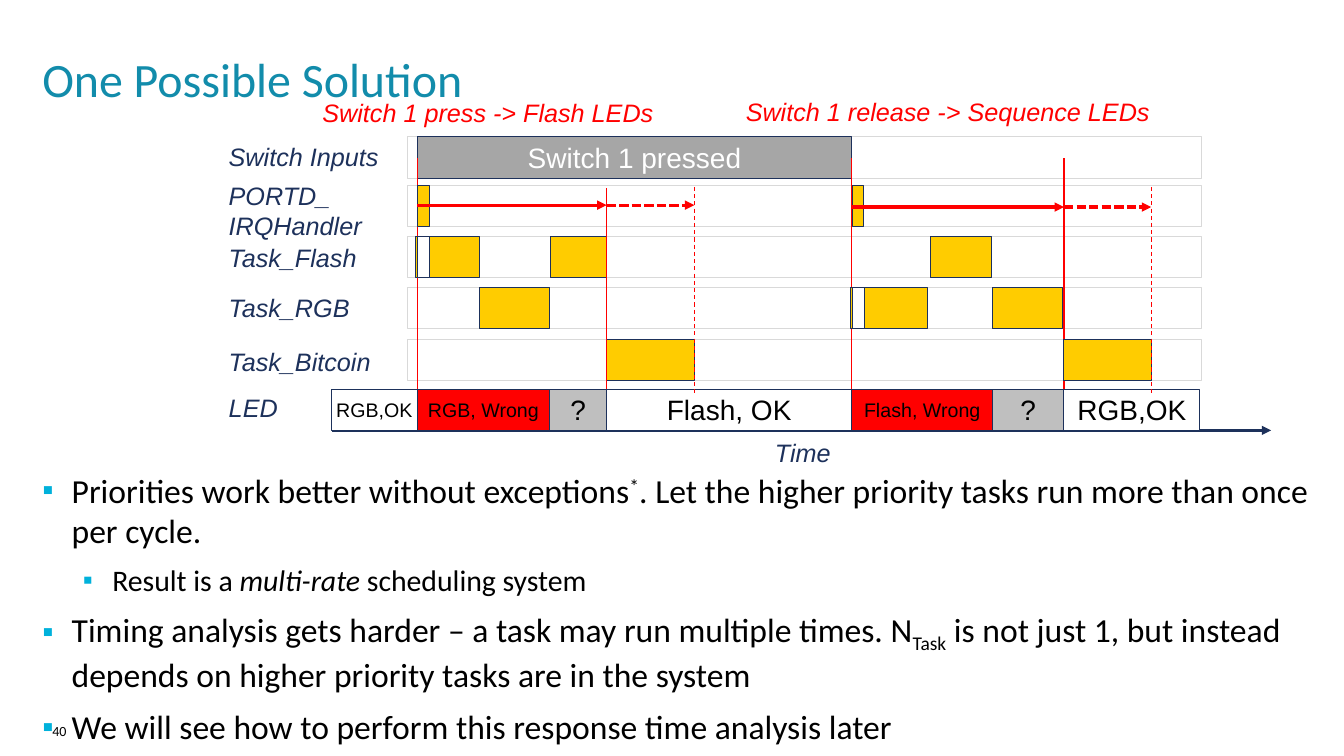
from dataclasses import dataclass

from lxml.etree import SubElement as Sub
from pptx import Presentation
from pptx.dml.color import RGBColor as RGB
from pptx.enum.dml import MSO_LINE as Dash
from pptx.enum.shapes import MSO_CONNECTOR as Conn, MSO_SHAPE as Form
from pptx.enum.text import MSO_ANCHOR as Anchor, MSO_AUTO_SIZE as Fit, PP_ALIGN as Align
from pptx.oxml.ns import qn
from pptx.util import Pt


@dataclass(frozen=True)
class Theme:
    navy: str = "1D315B"
    red: str = "FF0000"
    gold: str = "FFCC00"
    white: str = "FFFFFF"
    black: str = "000000"
    teal: str = "128CAB"
    cyan: str = "00B1DB"
    pale: str = "D9D9D9"
    grey: str = "BFBFBF"
    dark: str = "A6A6A6"
    sans: str = "Arial"
    main: str = "Calibri"
    head: float = 34.2
    body: float = 24
    sub: float = 21.3
    big: float = 20
    label: float = 18
    small: float = 14
    page: float = 10
    thin: float = 0.75
    bold: float = 2.25


T = Theme()

TITLE = "One Possible Solution"
# Each bullet: level, then runs of (text, format)
BULLETS = [
    (0, [("Priorities work better without exceptions", {}), ("*", {"base": 30}),
         (". Let the higher priority tasks run more than once per cycle.", {})]),
    (1, [("Result is a ", {}), ("multi-rate ", {"italic": True}),
         ("scheduling system", {})]),
    (0, [("Timing analysis gets harder – a task may run multiple times. N", {}),
         ("Task", {"base": -25}),
         (" is not just 1, but instead depends on higher priority tasks are in the system", {})]),
    (0, [("We will see how to perform this response time analysis later", {})]),
]

# Row tops and bar height
ROWS = {"switch": 97.7, "irq": 132.5, "flash": 169, "rgb": 205.2, "coin": 242.6, "led": 277.9}
TALL = 29.5
# Moments on the time axis
START, PRESS, FREE, END = 237, 298, 608.5, 857
SHOWN, RESET = 433.3, 760
LATE, LAST = 496, 822.3
LANE = (291, 858.3)

# Labels: text, left, top, width, height, colour
LABELS = [
    ("Switch Inputs", 156.3, 97.2, 122.4, 28.8, T.navy),
    ("PORTD_ IRQHandler", 156.3, 125.3, 115.2, 51.1, T.navy),
    ("Task_Flash", 156.3, 169.2, 106.6, 28.8, T.navy),
    ("Task_RGB", 156.3, 205.2, 101.5, 28.8, T.navy),
    ("Task_Bitcoin", 156.3, 244.1, 118.8, 28.8, T.navy),
    ("LED", 156.3, 276.5, 49.7, 28.8, T.navy),
    ("Time", 546.5, 311.8, 59.8, 4.3, T.navy),
    ("Switch 1 press -> Flash LEDs", 223.2, 66, 253.4, 28.8, T.red),
    ("Switch 1 release -> Sequence LEDs", 525.6, 65.6, 306, 28.8, T.red),
]
# Bars: row, from, to, fill
BARS = [
    ("irq", PRESS, 306.7, T.gold), ("irq", 609, 617, T.gold),
    ("flash", 296.7, 342.5, T.gold), ("flash", PRESS, 306.7, T.white),
    ("rgb", 342.2, 392.6, T.gold), ("flash", 393, SHOWN, T.gold),
    ("coin", SHOWN, LATE, T.gold),
    ("rgb", 607.7, 662.4, T.gold), ("rgb", 609, 617.5, T.white),
    ("flash", 664.5, 708, T.gold), ("rgb", 708.7, 759, T.gold),
    ("coin", RESET, LAST, T.gold),
]
# LED states: text, start, fill, type size
STATES = [
    ("RGB,OK", START, T.white, T.small), ("RGB, Wrong", PRESS, T.red, T.small),
    ("?", 392.6, T.grey, T.big), ("Flash, OK", SHOWN, T.white, T.big),
    ("Flash, Wrong", FREE, T.red, T.small), ("?", 709, T.grey, T.big),
    ("RGB,OK", RESET, T.white, T.big),
]

deck = Presentation()
deck.slide_width, deck.slide_height = Pt(960), Pt(540)
slide = deck.slides.add_slide(deck.slide_layouts[1])
shapes = slide.shapes


def write(para, text, size=T.label, color=T.navy, face=T.sans, italic=False, base=0):
    """Add one run; base is the raise or drop in percent."""
    run = para.add_run()
    run.text = text
    font = run.font
    font.size, font.name, font.italic = Pt(size), face, italic
    font.color.rgb = RGB.from_string(color)
    if base:
        font._element.set("baseline", str(base * 1000))


def place(item, left, top, width, height):
    item.left, item.top, item.width, item.height = map(Pt, (left, top, width, height))
    frame = item.text_frame
    frame.margin_left = frame.margin_right = frame.margin_top = frame.margin_bottom = 0
    frame.vertical_anchor, frame.auto_size = Anchor.TOP, Fit.NONE
    frame.word_wrap = True
    return frame


def label(text, left, top, width, height, color):
    frame = shapes.add_textbox(*map(Pt, (left, top, width, height))).text_frame
    frame.word_wrap = text.startswith("PORTD")
    write(frame.paragraphs[0], text, color=color, italic=True)


def bar(row, start, end, fill=None, edge=T.navy, text="", size=T.big, color=T.black):
    item = shapes.add_shape(Form.RECTANGLE, Pt(start), Pt(ROWS[row]), Pt(end - start), Pt(TALL))
    item.shadow.inherit = False
    if fill:
        item.fill.solid()
        item.fill.fore_color.rgb = RGB.from_string(fill)
    else:
        item.fill.background()
    item.line.color.rgb = RGB.from_string(edge)
    item.line.width = Pt(T.thin)
    if text:
        frame = item.text_frame
        frame.word_wrap, frame.vertical_anchor = False, Anchor.MIDDLE
        frame.paragraphs[0].alignment = Align.CENTER
        write(frame.paragraphs[0], text, size=size, color=color)


def rule(x, y, x2, y2, color=T.red, width=T.thin, dash=None, arrow=False):
    item = shapes.add_connector(Conn.STRAIGHT, Pt(x), Pt(y), Pt(x2), Pt(y2))
    item.line.color.rgb = RGB.from_string(color)
    item.line.width = Pt(width)
    if dash:
        item.line.dash_style = dash
    if arrow:
        Sub(item.line._get_or_add_ln(), qn("a:tailEnd"), type="triangle")
    Sub(item._element.spPr, qn("a:effectLst"))


def bullet(para, level):
    props = para._p.get_or_add_pPr()
    props.set("marL", str(Pt(50 if level else 21)))
    props.set("indent", str(-Pt(21)))
    Sub(Sub(props, qn("a:buClr")), qn("a:srgbClr"), val=T.cyan)
    Sub(props, qn("a:buSzPct"), val="95000")
    Sub(props, qn("a:buFont"), typeface=T.sans)
    Sub(props, qn("a:buChar"), char="▪")
    para.level = level
    para.space_before, para.space_after = Pt(0), Pt(8)


def prose():
    frame = place(shapes.title, 30.2, 35.3, 913, 33.8)
    frame.paragraphs[0].alignment = Align.LEFT
    write(frame.paragraphs[0], TITLE, size=T.head, color=T.teal, face=T.main)
    frame = place(slide.placeholders[1], 30.2, 335.5, 907.2, 178.6)
    for i, (level, runs) in enumerate(BULLETS):
        para = frame.add_paragraph() if i else frame.paragraphs[0]
        bullet(para, level)
        for text, form in runs:
            write(para, text, size=T.sub if level else T.body, color=T.black, face=T.main, **form)
    frame = place(shapes.add_textbox(0, 0, 0, 0), 37.4, 516.2, 103, 18.7)
    write(frame.paragraphs[0], "40", size=T.page, color=T.black, face=T.main)


def chart():
    for row in list(ROWS)[:-1]:
        bar(row, *LANE, edge=T.pale)
    axis = ROWS["led"] + TALL
    rule(START, axis, 908, axis, color=T.navy, width=T.bold, arrow=True)
    bar("switch", PRESS, FREE, T.dark, text="Switch 1 pressed", color=T.white)
    for x in (PRESS, FREE, RESET):
        rule(x, 113, x, 281)
    for item in BARS:
        bar(*item)
    rule(SHOWN, 134.6, SHOWN, 281)
    ends = [state[1] for state in STATES[1:]] + [END]
    for (text, start, fill, size), end in zip(STATES, ends):
        bar("led", start, end, fill, text=text, size=size)
    for x, mid, late, y in ((PRESS, SHOWN, LATE, 146.5), (FREE, RESET, LAST, 147.9)):
        rule(late, 133.5, late, 281, dash=Dash.DASH)
        rule(x, y, mid, y, width=T.bold, arrow=True)
        rule(mid, y, late, y, width=T.bold, dash=Dash.SQUARE_DOT, arrow=True)
    for item in LABELS:
        label(*item)


prose()
chart()
deck.save("out.pptx")
